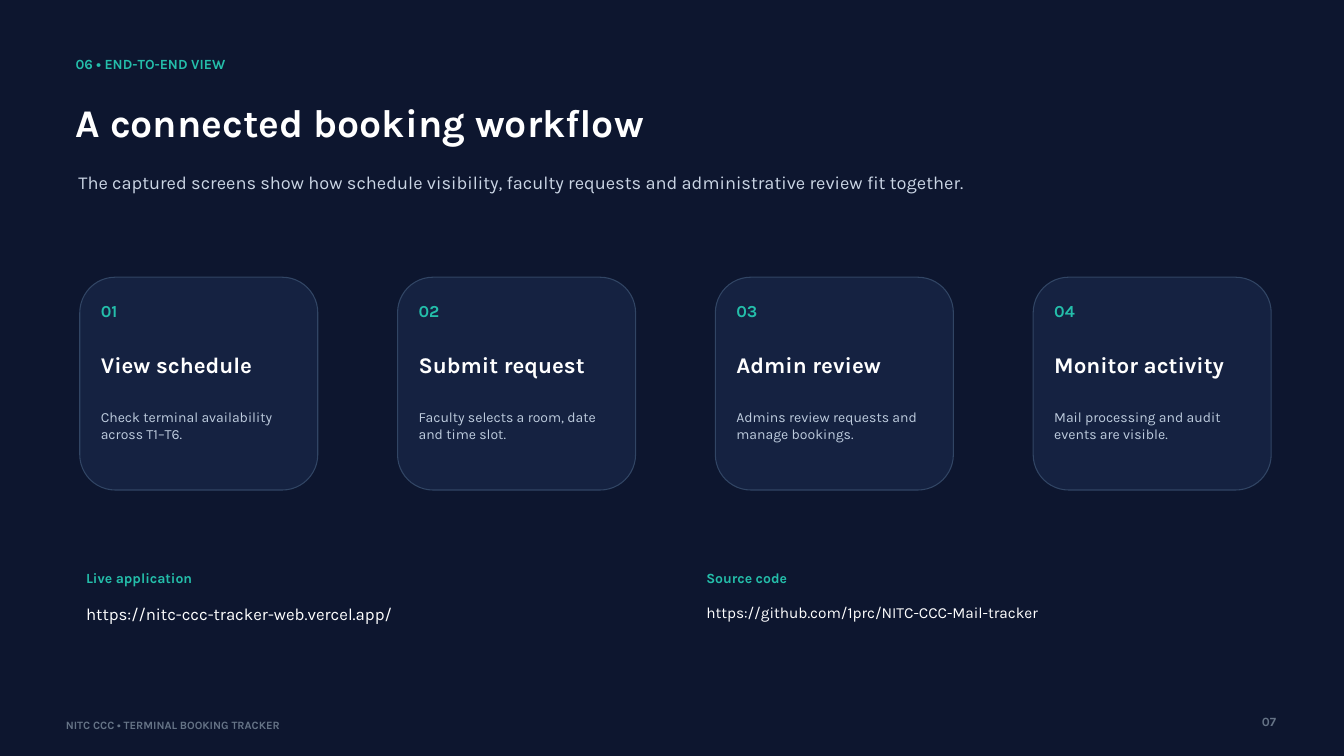
from dataclasses import dataclass

import pptx
import pptx.dml.color
import pptx.enum.shapes
import pptx.enum.text
import pptx.util

PX = 9525
FONT = "Karla"
LINE_SPACING = 1.2
COLORS = {
    "background": "0D162F",
    "card": "152241",
    "border": "314564",
    "accent": "24BEAA",
    "white": "FFFFFF",
    "subtitle": "CBD6E5",
    "body": "BECCDE",
    "muted": "657386",
}
STYLES = {
    "eyebrow": {"size": 15, "bold": True, "color": "accent"},
    "title": {"size": 42, "bold": True, "color": "white"},
    "subtitle": {"size": 19.5, "bold": False, "color": "subtitle"},
    "number": {"size": 18, "bold": True, "color": "accent"},
    "heading": {"size": 24, "bold": True, "color": "white"},
    "body": {"size": 15, "bold": False, "color": "body"},
    "app_link": {"size": 18, "bold": False, "color": "white"},
    "code_link": {"size": 16.5, "bold": False, "color": "white"},
    "footer": {"size": 12, "bold": True, "color": "muted"},
    "page": {"size": 13.5, "bold": True, "color": "muted"},
}
CARD_LEFT, CARD_TOP, CARD_PITCH = 114, 396, 454
CARD_WIDTH, CARD_HEIGHT, CARD_INSET = 340, 304, 30


@dataclass
class Label:
    text: str
    style: str
    left: int
    top: int
    width: int
    height: int
    right_aligned: bool = False


@dataclass
class Step:
    heading: str
    body: str


LABELS = [
    Label("06 • END-TO-END VIEW", "eyebrow", 108, 80, 865, 43),
    Label("A connected booking workflow", "title", 108, 141, 1700, 94),
    Label(
        "The captured screens show how schedule visibility, faculty requests "
        "and administrative review fit together.",
        "subtitle", 112, 245, 1700, 80,
    ),
    Label("Live application", "eyebrow", 123, 814, 259, 36),
    Label("https://nitc-ccc-tracker-web.vercel.app/", "app_link", 123, 862, 836, 43),
    Label("Source code", "eyebrow", 1009, 814, 216, 36),
    Label("https://github.com/1prc/NITC-CCC-Mail-tracker", "code_link", 1009, 862, 779, 43),
    Label("NITC CCC • TERMINAL BOOKING TRACKER", "footer", 94, 1026, 1268, 26),
    Label("07", "page", 1751, 1020, 72, 32, right_aligned=True),
]
STEPS = [
    Step("View schedule", "Check terminal availability across T1–T6."),
    Step("Submit request", "Faculty selects a room, date and time slot."),
    Step("Admin review", "Admins review requests and manage bookings."),
    Step("Monitor activity", "Mail processing and audit events are visible."),
]


def px(value: int) -> pptx.util.Emu:
    return pptx.util.Emu(value * PX)


def rgb(name: str) -> pptx.dml.color.RGBColor:
    return pptx.dml.color.RGBColor.from_string(COLORS[name])


def set_attributes(target: object, values: dict) -> None:
    for name, value in values.items():
        setattr(target, name, value)


def draw_label(s, label: Label) -> None:
    style = STYLES[label.style]
    tf = s.shapes.add_textbox(
        px(label.left), px(label.top), px(label.width), px(label.height)
    ).text_frame
    set_attributes(tf, {
        "word_wrap": True,
        "margin_left": 0,
        "margin_top": 0,
        "margin_right": 0,
        "margin_bottom": 0,
        "vertical_anchor": pptx.enum.text.MSO_ANCHOR.TOP,
    })
    align = pptx.enum.text.PP_ALIGN
    p = tf.paragraphs[0]
    set_attributes(p, {
        "alignment": align.RIGHT if label.right_aligned else align.LEFT,
        "line_spacing": pptx.util.Pt(style["size"] * LINE_SPACING),
    })
    r = p.add_run()
    r.text = label.text
    set_attributes(r.font, {
        "name": FONT,
        "size": pptx.util.Pt(style["size"]),
        "bold": style["bold"],
    })
    r.font.color.rgb = rgb(style["color"])


def draw_step(s, index: int, step: Step) -> None:
    left = CARD_LEFT + index * CARD_PITCH
    sp = s.shapes.add_shape(
        pptx.enum.shapes.MSO_SHAPE.ROUNDED_RECTANGLE,
        px(left), px(CARD_TOP), px(CARD_WIDTH), px(CARD_HEIGHT),
    )
    sp.shadow.inherit = False
    sp.fill.solid()
    sp.fill.fore_color.rgb = rgb("card")
    sp.line.color.rgb = rgb("border")
    sp.line.width = pptx.util.Pt(1.13)
    text_left = left + CARD_INSET
    draw_label(s, Label(f"{index + 1:02}", "number", text_left, CARD_TOP + 33, 86, 51))
    draw_label(s, Label(step.heading, "heading", text_left, CARD_TOP + 105, 281, 65))
    draw_label(s, Label(step.body, "body", text_left, CARD_TOP + 188, 281, 89))


def main() -> None:
    prs = pptx.Presentation()
    prs.slide_width, prs.slide_height = px(1920), px(1080)
    s = prs.slides.add_slide(prs.slide_layouts[6])
    s.background.fill.solid()
    s.background.fill.fore_color.rgb = rgb("background")
    for index, step in enumerate(STEPS):
        draw_step(s, index, step)
    for label in LABELS:
        draw_label(s, label)
    prs.save("out.pptx")


if __name__ == "__main__":
    main()
